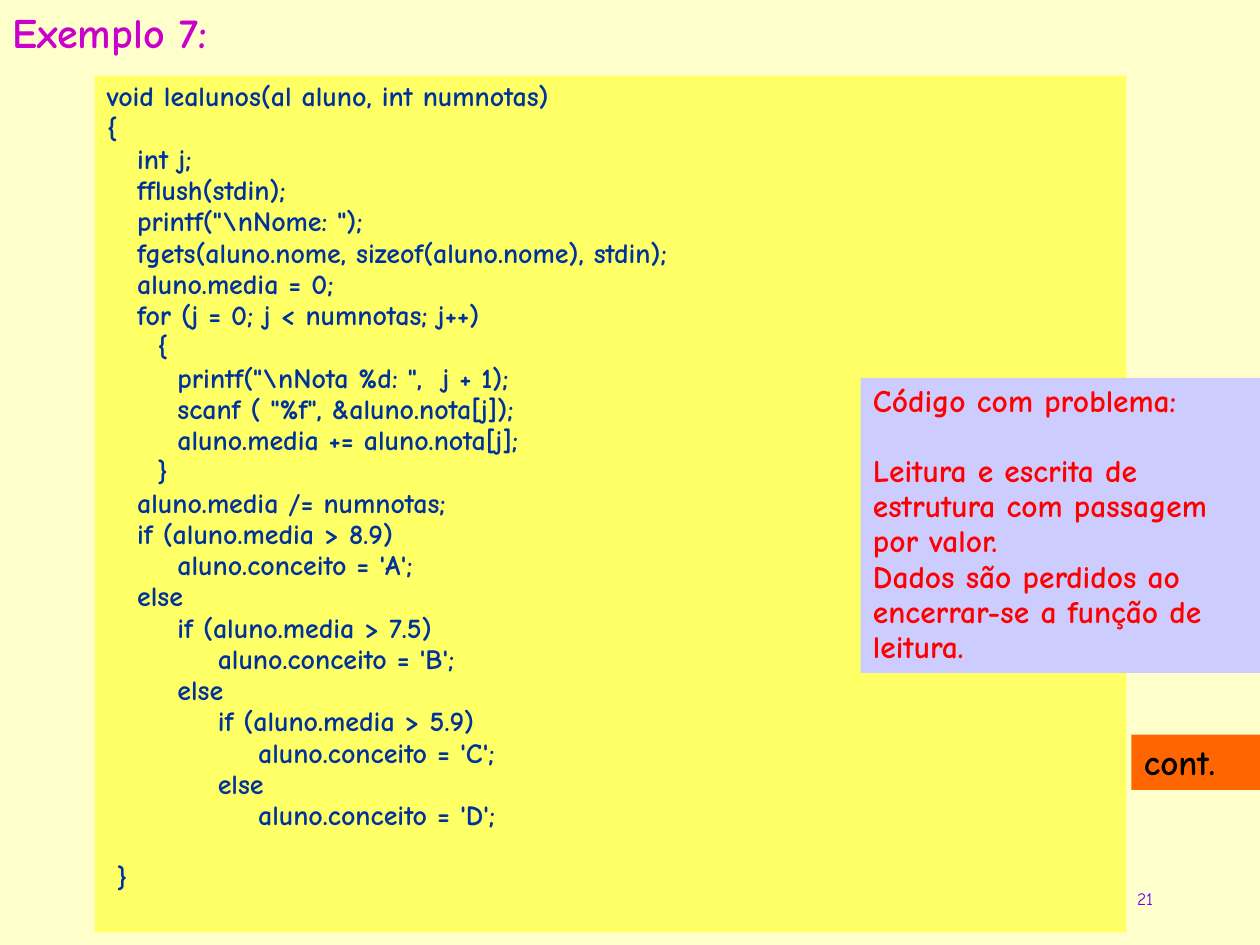
from pptx import Presentation
from pptx.dml.color import RGBColor
from pptx.enum.shapes import MSO_SHAPE
from pptx.enum.text import MSO_ANCHOR, PP_ALIGN
from pptx.util import Inches, Pt

FONT = "Comic Neue"
SPACE_WIDTH = 0.08
COLORS = {
    "background": "FFFFCC",
    "title": "CC00CC",
    "code_panel": "FFFF66",
    "code": "003399",
    "note_panel": "CCCCFF",
    "note": "FF0000",
    "tag_panel": "FF6600",
    "tag": "000000",
    "number": "6600FF",
}
CODE = r"""void lealunos(al aluno, int numnotas)
{
   int j;
   fflush(stdin);
   printf("\nNome: ");
   fgets(aluno.nome, sizeof(aluno.nome), stdin);
   aluno.media = 0;
   for (j = 0; j < numnotas; j++)
     {
       printf("\nNota %d: ",  j + 1);
       scanf ( "%f", &aluno.nota[j]);
       aluno.media += aluno.nota[j];
     }
   aluno.media /= numnotas;
   if (aluno.media > 8.9)
       aluno.conceito = 'A';
   else
       if (aluno.media > 7.5)
           aluno.conceito = 'B';
       else
           if (aluno.media > 5.9)
               aluno.conceito = 'C';
           else
               aluno.conceito = 'D';
 }"""
NOTE = [
    "Código com problema:",
    "Leitura e escrita de estrutura com passagem por valor.",
    "Dados são perdidos ao encerrar-se a função de leitura.",
]


def color(name):
    return RGBColor.from_string(COLORS[name])


def write_lines(shape, lines, size, color_name, bold=True, line_spacing=1.0, align=PP_ALIGN.LEFT):
    text_frame = shape.text_frame
    text_frame.word_wrap = True
    text_frame.vertical_anchor = MSO_ANCHOR.TOP
    for index, line in enumerate(lines):
        paragraph = text_frame.add_paragraph() if index else text_frame.paragraphs[0]
        content = line.lstrip()
        paragraph.text = content
        paragraph.alignment = align
        paragraph.line_spacing = line_spacing
        indent = len(line) - len(content)
        if indent:
            properties = paragraph._p.get_or_add_pPr()
            properties.set("marL", str(Inches(indent * SPACE_WIDTH)))
            properties.set("indent", "0")
        for run in paragraph.runs:
            run.font.name = FONT
            run.font.size = Pt(size)
            run.font.bold = bold
            run.font.color.rgb = color(color_name)
    return text_frame.paragraphs


def add_panel(slide, left, top, width, height, fill_name):
    shape = slide.shapes.add_shape(
        MSO_SHAPE.RECTANGLE, Inches(left), Inches(top), Inches(width), Inches(height)
    )
    shape.shadow.inherit = False
    shape.fill.solid()
    shape.fill.fore_color.rgb = color(fill_name)
    shape.line.fill.background()
    return shape


def add_title(slide, text):
    title = slide.shapes.title
    title.left, title.top = Inches(0), Inches(0)
    title.width, title.height = Inches(3.24), Inches(0.5)
    write_lines(title, [text], 24, "title")


def add_slide_number(slide, text):
    box = slide.shapes.add_textbox(Inches(7.17), Inches(6.83), Inches(2.08), Inches(0.5))
    box.text_frame.margin_top = Inches(0.22)
    write_lines(box, [text], 10, "number", bold=False, align=PP_ALIGN.RIGHT)


def main():
    presentation = Presentation()
    presentation.slide_width = Inches(10)
    presentation.slide_height = Inches(7.5)
    slide = presentation.slides.add_slide(presentation.slide_layouts[5])
    slide.background.fill.solid()
    slide.background.fill.fore_color.rgb = color("background")

    add_title(slide, "Exemplo 7:")
    add_slide_number(slide, "21")

    code_panel = add_panel(slide, 0.75, 0.6, 8.19, 6.8, "code_panel")
    code_lines = write_lines(code_panel, CODE.split("\n"), 16, "code", line_spacing=0.93)
    code_lines[-1].space_before = Pt(17.8)

    tag_panel = add_panel(slide, 8.98, 5.83, 1.02, 0.44, "tag_panel")
    write_lines(tag_panel, ["cont."], 20, "tag")

    note_panel = add_panel(slide, 6.83, 3, 3.17, 2.34, "note_panel")
    note_lines = write_lines(note_panel, NOTE, 18, "note", line_spacing=0.93)
    note_lines[1].space_before = Pt(20.1)

    presentation.save("out.pptx")


if __name__ == "__main__":
    main()
